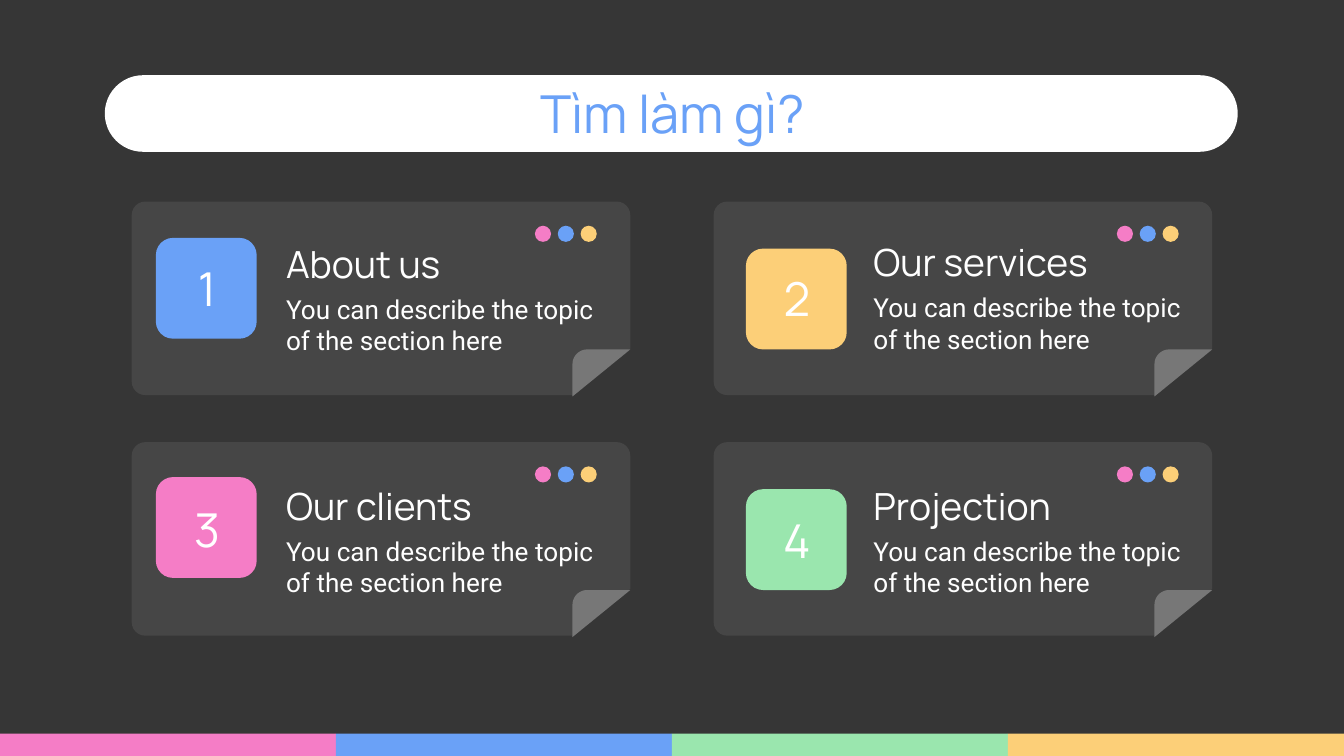
from math import cos, pi, sin

from pptx import Presentation
from pptx.dml.color import RGBColor
from pptx.enum.shapes import MSO_SHAPE as SHAPE
from pptx.enum.text import MSO_ANCHOR as ANCHOR, MSO_AUTO_SIZE as FIT, PP_ALIGN as ALIGN
from pptx.util import Inches, Pt

DARK = RGBColor(0x36, 0x36, 0x36)
CARD = RGBColor(0x46, 0x46, 0x46)
CURL = RGBColor(0x77, 0x77, 0x77)
WHITE = RGBColor(0xFF, 0xFF, 0xFF)
PINK = RGBColor(0xF5, 0x7D, 0xC6)
BLUE = RGBColor(0x6A, 0xA1, 0xF7)
GREEN = RGBColor(0x9A, 0xE6, 0xAE)
GOLD = RGBColor(0xFC, 0xCF, 0x78)

BODY = "You can describe the topic of the section here"
HEAD_FONT = {"name": "Manrope", "size": Pt(20), "bold": False}
BODY_FONT = {"name": "Roboto", "size": Pt(14), "bold": False}
NUM_FONT = {"name": "Manrope", "size": Pt(25), "bold": False}
TITLE_FONT = {"name": "Manrope", "size": Pt(28), "bold": False}

# Slide in 16:9
prs = Presentation()
prs.slide_width = Inches(10)
prs.slide_height = Inches(10 * 9 / 16)
slide = prs.slides.add_slide(prs.slide_layouts[5])
slide.background.fill.solid()
slide.background.fill.fore_color.rgb = DARK
shapes = slide.shapes


def draw(kind, x, y, w, h, color, adj=None):
    shape = shapes.add_shape(kind, Inches(x), Inches(y), Inches(w), Inches(h))
    shape.shadow.inherit = False
    shape.fill.solid()
    shape.fill.fore_color.rgb = color
    shape.line.fill.background()
    if adj is not None:
        shape.adjustments[0] = adj
    return shape


def write(box, text, font, color, align=ALIGN.LEFT):
    frame = box.text_frame
    frame.text = text
    form = {"word_wrap": True, "auto_size": FIT.NONE, "vertical_anchor": ANCHOR.MIDDLE}
    for side in ("left", "right", "top", "bottom"):
        form["margin_" + side] = Inches(0.1)
    for key, val in form.items():
        setattr(frame, key, val)
    para = frame.paragraphs[0]
    para.alignment = align
    for key, val in font.items():
        setattr(para.font, key, val)
    para.font.color.rgb = color


# Colour strip along the bottom
for i, color in enumerate((PINK, BLUE, GREEN, GOLD)):
    draw(SHAPE.RECTANGLE, 2.5 * i, 5.46, 2.5, 0.17, color)

# Title on a white pill
draw(SHAPE.ROUNDED_RECTANGLE, 0.78, 0.56, 8.43, 0.57, WHITE, 0.5)
title = shapes.title
place = {"left": 0.79, "top": 0.59, "width": 8.43, "height": 0.5}
for key, val in place.items():
    setattr(title, key, Inches(val))
write(title, "Tìm làm gì?", TITLE_FONT, BLUE, ALIGN.CENTER)
title.element.getparent().append(title.element)

# Cards: left, top, number, heading, colour, tile place, number top, text place
cards = [
    (0.98, 1.5, "1", "About us", BLUE, 1.16, 1.77, 1.9, 2.03, 1.76),
    (5.31, 1.5, "2", "Our services", GOLD, 5.55, 1.85, 1.97, 6.4, 1.75),
    (0.98, 3.29, "3", "Our clients", PINK, 1.16, 3.55, 3.69, 2.03, 3.56),
    (5.31, 3.29, "4", "Projection", GREEN, 5.55, 3.64, 3.77, 6.4, 3.56),
]
for x, y, num, head, color, tile_x, tile_y, num_y, text_x, text_y in cards:
    draw(SHAPE.ROUNDED_RECTANGLE, x, y, 3.71, 1.44, CARD, 0.07)

    # Three dots
    for i, dot in enumerate((PINK, BLUE, GOLD)):
        draw(SHAPE.OVAL, x + 3 + 0.17 * i, y + 0.18, 0.12, 0.12, dot)

    # Folded corner: cut-out triangle, then the curl with a rounded tip
    cut = draw(SHAPE.RIGHT_TRIANGLE, x + 3.29, y + 1.1, 0.42, 0.34, DARK)
    cut.element.spPr.xfrm.set("flipH", "1")
    cut.line.color.rgb = DARK
    cut.line.width = Pt(0.75)
    left, top, rad = x + 3.28, y + 1.1, 0.11
    arc = [(left + rad - rad * sin(a), top + rad - rad * cos(a))
           for a in (pi / 2 * i / 12 for i in range(13))]
    pts = [(Inches(px), Inches(py))
           for px, py in arc + [(left, top + 0.35), (left + 0.43, top)]]
    edge = shapes.build_freeform(*pts[0])
    edge.add_line_segments(pts[1:], close=True)
    curl = edge.convert_to_shape()
    curl.shadow.inherit = False
    curl.fill.solid()
    curl.fill.fore_color.rgb = CURL
    curl.line.fill.background()

    # Number tile and texts
    draw(SHAPE.ROUNDED_RECTANGLE, tile_x, tile_y, 0.75, 0.75, color, 0.17)
    for text, font, bx, by, w, h, align in (
        (num, NUM_FONT, tile_x - 0.02, num_y, 0.8, 0.49, ALIGN.CENTER),
        (head, HEAD_FONT, text_x, text_y, 2.52, 0.4, ALIGN.LEFT),
        (BODY, BODY_FONT, text_x, text_y + 0.39, 2.52, 0.53, ALIGN.LEFT),
    ):
        box = shapes.add_textbox(Inches(bx), Inches(by), Inches(w), Inches(h))
        write(box, text, font, WHITE, align)

prs.save("out.pptx")
